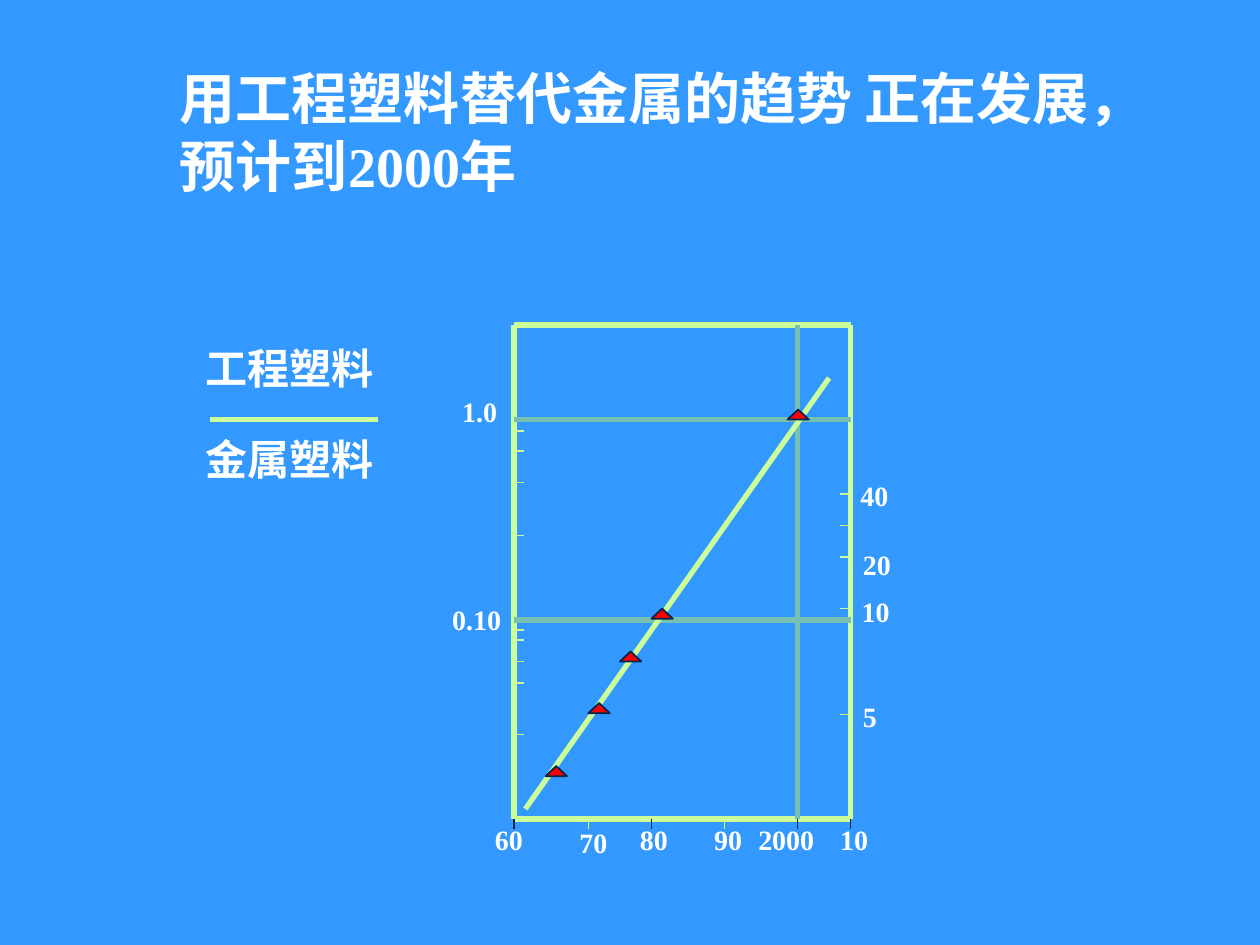
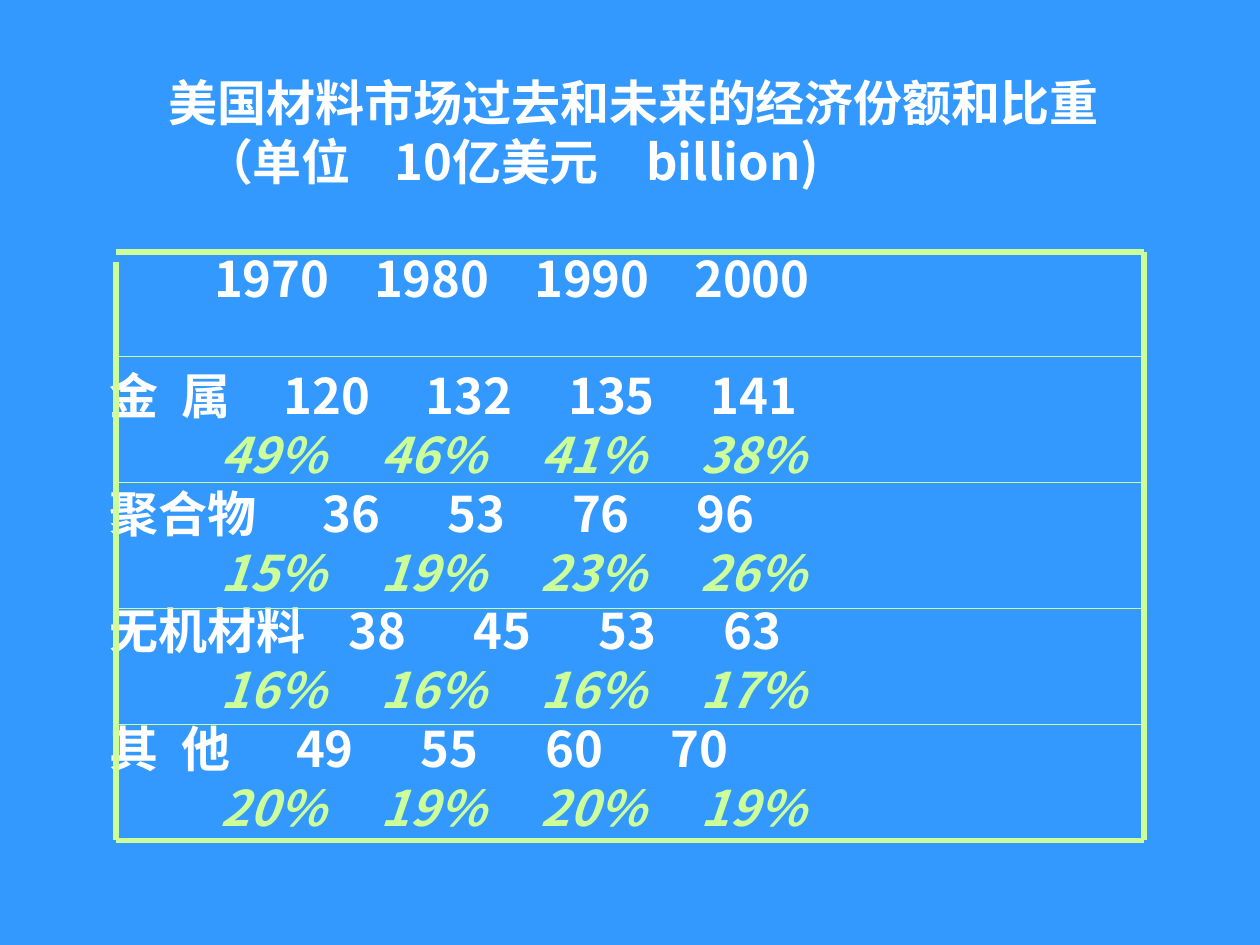
from dataclasses import dataclass
from pptx import Presentation
from pptx.dml.color import RGBColor
from pptx.enum.shapes import MSO_CONNECTOR, MSO_SHAPE
from pptx.enum.text import MSO_ANCHOR
from pptx.oxml.ns import qn
from pptx.util import Inches, Pt
from lxml.etree import SubElement


@dataclass(frozen=True)
class Theme:
    back: str = "3399FF"
    text: str = "FFFFFF"
    accent: str = "CCFF99"
    guide: str = "78C0B2"
    dark: str = "00264C"
    marker: str = "FF0000"
    serif: str = "Times New Roman"
    sans: str = "Noto Sans CJK SC"
    title: int = 32
    body: int = 28
    label: int = 24
    tick: int = 16
    leading: float = 1.2
    heavy: float = 3
    thin: float = 1
    hair: float = 0.75


class Deck:
    def __init__(self, theme):
        self.theme = theme
        self.prs = Presentation()
        self.prs.slide_width, self.prs.slide_height = Inches(10), Inches(7.5)
        self.s = None

    def slide(self):
        self.s = self.prs.slides.add_slide(self.prs.slide_layouts[6])
        fill = self.s.background.fill
        fill.solid()
        fill.fore_color.rgb = RGBColor.from_string(self.theme.back)

    def box(self, x, y, w, h, inset=0.1, wrap=True, middle=False):
        tf = self.s.shapes.add_textbox(Inches(x), Inches(y), Inches(w), Inches(h)).text_frame
        tf.word_wrap = wrap
        tf.margin_left = Inches(inset)
        if middle:
            tf.vertical_anchor = MSO_ANCHOR.MIDDLE
        return tf

    def line_of_text(self, tf, text, size, font, color=None, italic=False,
                     tabs=(), before=0, leading=True):
        p = tf.paragraphs[0] if not tf.paragraphs[0].runs else tf.add_paragraph()
        if leading:
            p.line_spacing = Pt(size * self.theme.leading)
        if before:
            p.space_before = Pt(before)
        if tabs:
            tab_list = SubElement(p._p.get_or_add_pPr(), qn("a:tabLst"))
            for pos in tabs:
                SubElement(tab_list, qn("a:tab"), pos=str(Inches(pos)), algn="l")
        r = p.add_run()
        r.text = text
        r.font.size, r.font.bold, r.font.italic = Pt(size), True, italic
        r.font.name = font
        r.font.color.rgb = RGBColor.from_string(color or self.theme.text)
        SubElement(r._r.get_or_add_rPr(), qn("a:ea"), typeface=self.theme.sans)

    def tick_label(self, x, y, w, text):
        tf = self.box(x, y, w, 0.37, wrap=False)
        self.line_of_text(tf, text, self.theme.tick, self.theme.serif, leading=False)

    def line(self, x1, y1, x2, y2, color=None, width=None):
        c = self.s.shapes.add_connector(
            MSO_CONNECTOR.STRAIGHT, Inches(x1), Inches(y1), Inches(x2), Inches(y2))
        c.line.color.rgb = RGBColor.from_string(color or self.theme.accent)
        c.line.width = Pt(width or self.theme.heavy)
        SubElement(c._element.spPr, qn("a:effectLst"))

    def triangle(self, x, y):
        sp = self.s.shapes.add_shape(
            MSO_SHAPE.ISOSCELES_TRIANGLE, Inches(x), Inches(y), Inches(0.17), Inches(0.08))
        sp.shadow.inherit = False
        sp.fill.solid()
        sp.fill.fore_color.rgb = RGBColor.from_string(self.theme.marker)
        sp.line.color.rgb = RGBColor.from_string(self.theme.dark)
        sp.line.width = Pt(self.theme.thin)


def trend_slide(deck):
    t = deck.theme
    left, right, top, bottom, tick = 4.08, 6.75, 2.58, 6.5, 0.08
    deck.slide()
    tf = deck.box(1.33, 0.5, 7.5, 1.08, middle=True)
    deck.line_of_text(tf, "用工程塑料替代金属的趋势 正在发展，预计到2000年", t.title, t.serif)

    tf = deck.box(1.17, 2.67, 2, 2.58, inset=0.46)
    deck.line_of_text(tf, "工程塑料", t.label, t.serif)
    deck.line_of_text(tf, "金属塑料", t.label, t.serif, before=23)
    deck.line(1.67, 3.33, 3, 3.33)

    for x in (left, right):
        deck.line(x, top, x, bottom)
    for y in (top, bottom):
        deck.line(left, y, right, y)
    for y in (3.33, 4.92):
        deck.line(left, y, right, y, t.guide)
    deck.line(6.33, top, 6.33, bottom, t.guide)
    deck.line(4.17, 6.42, 6.58, 3)

    for x, y in ((1.33, 3.92), (right, 4.5)):
        deck.line(x, y, x, y, t.dark, t.thin)
    for y in (3.42, 3.58, 3.83, 4.25, 5, 5.08, 5.25, 5.42, 5.83):
        deck.line(left, y, left + tick, y, width=t.thin)
    for y in (3.92, 4.17, 4.42, 4.83, 5.67):
        deck.line(right, y, right - tick, y, width=t.thin)
    for x, color in ((left, t.dark), (4.67, t.accent), (5.17, t.dark),
                     (5.75, t.accent), (6.33, t.dark), (right, t.dark)):
        deck.line(x, bottom, x, bottom + tick, color, t.thin)

    for x, y, w, text in (
            (3.57, 3.08, 0.48, "1.0"), (3.49, 4.73, 0.59, "0.10"),
            (6.73, 3.75, 0.42, "40"), (6.75, 4.3, 0.42, "20"),
            (6.74, 4.67, 0.42, "10"), (6.75, 5.5, 0.31, "5"),
            (3.83, 6.48, 0.42, "60"), (4.5, 6.5, 0.42, "70"),
            (4.98, 6.48, 0.42, "80"), (5.57, 6.48, 0.42, "90"),
            (5.92, 6.48, 0.64, "2000"), (6.57, 6.48, 0.42, "10")):
        deck.tick_label(x, y, w, text)
    for x, y in ((6.25, 3.25), (5.17, 4.83), (4.92, 5.17), (4.67, 5.58), (4.33, 6.08)):
        deck.triangle(x, y)


def market_slide(deck):
    t = deck.theme
    deck.slide()
    tf = deck.box(1.17, 0.42, 8, 1.25, inset=0.17, middle=True)
    deck.line_of_text(tf, "美国材料市场过去和未来的经济份额和比重", t.body, t.sans)
    deck.line_of_text(tf, "\t（单位\t10亿美元\tbillion)", t.body, t.sans,
                      tabs=(0.28, 1.79, 3.79))

    def stops(first, step):
        return [first + step * i for i in range(4)]

    tf = deck.box(0.42, 1.92, 9.17, 4.75, inset=0.45)
    deck.line_of_text(tf, "\t1970\t1980\t1990\t2000", t.body, t.sans,
                      tabs=stops(0.83, 1.27))
    materials = (
        ("金\t属", [0.57], 1.38, 1.13, "120 132 135 141", "49% 46% 41% 38%"),
        ("聚合物", [], 1.69, 0.99, "36 53 76 96", "15% 19% 23% 26%"),
        ("无机材料", [], 1.9, 0.99, "38 45 53 63", "16% 16% 16% 17%"),
        ("其\t他", [0.57], 1.48, 0.99, "49 55 60 70", "20% 19% 20% 19%"))
    for i, (name, name_tab, first, step, values, shares) in enumerate(materials):
        deck.line_of_text(tf, "\t".join([name, *values.split()]), t.body, t.sans,
                          tabs=name_tab + stops(first, step),
                          before=0 if i else t.body * t.leading)
        deck.line_of_text(tf, "\t".join(["", *shares.split()]), t.body, t.sans,
                          t.accent, italic=True, tabs=stops(0.88, 1.27))

    left, right, top, bottom = 0.92, 9.08, 2, 6.67
    for y in (top, bottom):
        deck.line(left, y, right, y)
    deck.line(right, bottom, right, top)
    deck.line(left, top + 0.08, left, bottom)
    for y in (2.83, 3.83, 4.83, 5.75):
        deck.line(left, y, right, y, width=t.hair)


def main():
    deck = Deck(Theme())
    trend_slide(deck)
    market_slide(deck)
    deck.prs.save("out.pptx")


if __name__ == "__main__":
    main()
